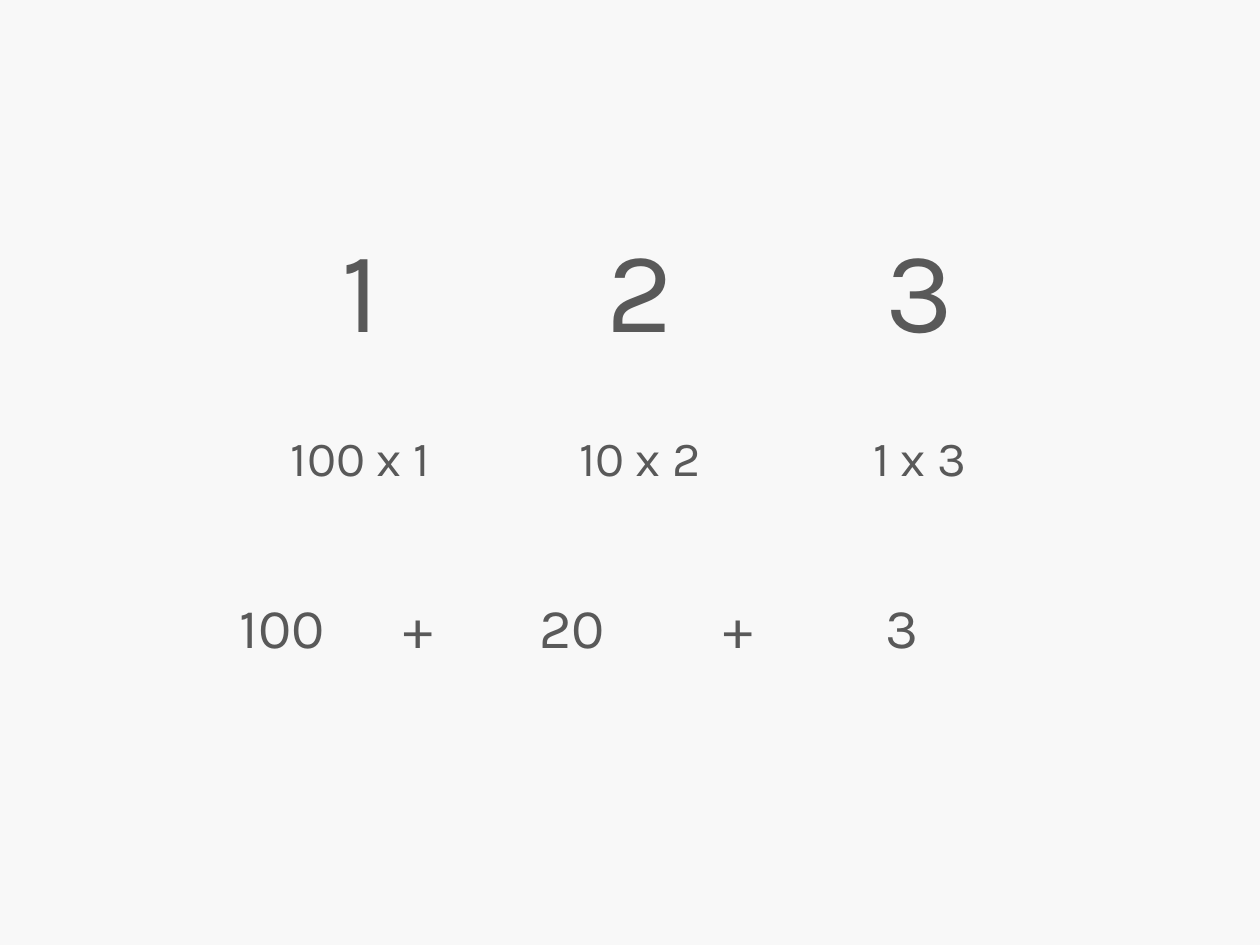
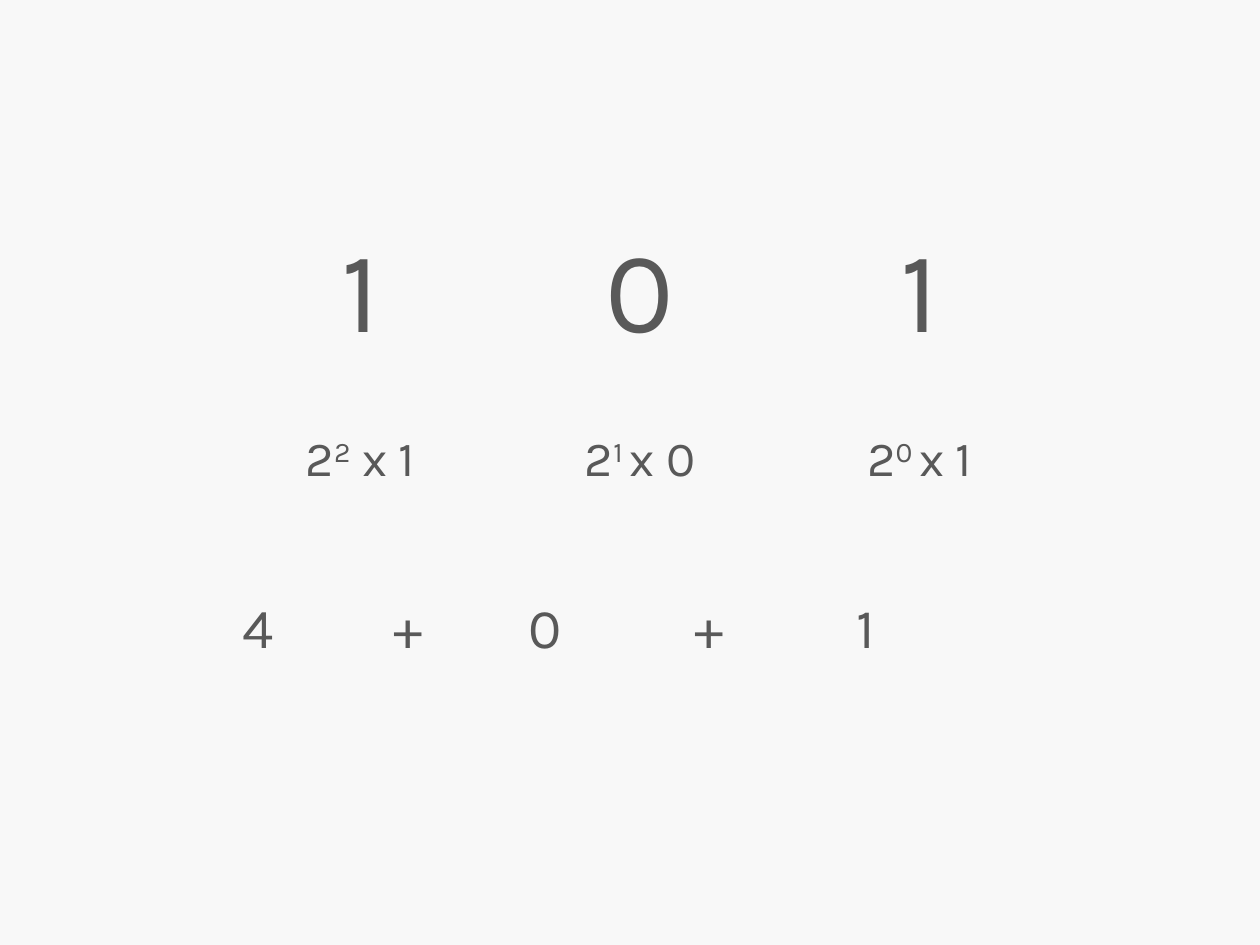
import pptx
import pptx.dml.color
import pptx.enum.text
import pptx.oxml.ns
import pptx.util
from lxml import etree

Inches = pptx.util.Inches
BACKGROUND = pptx.dml.color.RGBColor(0xF8, 0xF8, 0xF8)
TEXT_GREY = pptx.dml.color.RGBColor(0x59, 0x59, 0x59)
FONT = "Karla"
NO_STYLE_NO_GRID = "{2D5ABB26-0587-4C30-8999-92F81FD0307C}"
DIGIT_SIZE, PRODUCT_SIZE, SUM_SIZE = 66, 28, 32

TABLE_LEFT = TABLE_TOP = 1.75
COLUMN_WIDTH = 2.22
ROW_HEIGHTS = (1.17, 1.01, 1.75)
SUM_TOP_MARGIN = 0.81

# Each product lists its runs; the second run is an exponent.
# The sum stops are the centres of its five parts, in inches from the cell text edge.
NUMBERS = [
    {
        "digits": ("1", "2", "3"),
        "products": (("100 x 1",), ("10 x 2",), ("1 x 3",)),
        "sum": ("100", "+", "20", "+", "3"),
        "stops": (0.39, 1.47, 2.69, 4.01, 5.31),
    },
    {
        "digits": ("1", "0", "1"),
        "products": (("2", "2", " x 1"), ("2", "1 ", "x 0"), ("2", "0 ", "x 1")),
        "sum": ("4", "+", "0", "+", "1"),
        "stops": (0.2, 1.39, 2.48, 3.78, 5.02),
    },
]


def write_cell(cell, parts, size):
    """Fill a cell with centred runs, raising the second one as an exponent."""
    para = cell.text_frame.paragraphs[0]
    para.alignment = pptx.enum.text.PP_ALIGN.CENTER
    for index, part in enumerate(parts):
        span = para.add_run()
        span.text = part
        span.font.name = FONT
        span.font.size = pptx.util.Pt(size)
        span.font.color.rgb = TEXT_GREY
        if index == 1:
            span.font._element.set("baseline", "30000")
    return para


def add_centre_tabs(para, stops):
    tab_list = etree.SubElement(para._p.get_or_add_pPr(), pptx.oxml.ns.qn("a:tabLst"))
    for stop in stops:
        etree.SubElement(tab_list, pptx.oxml.ns.qn("a:tab"), pos=str(Inches(stop)), algn="ctr")


deck = pptx.Presentation()
deck.slide_width, deck.slide_height = Inches(10), Inches(7.5)
blank_layout = deck.slide_layouts[6]

for number in NUMBERS:
    page = deck.slides.add_slide(blank_layout)
    page.background.fill.solid()
    page.background.fill.fore_color.rgb = BACKGROUND

    frame = page.shapes.add_table(
        3, 3, Inches(TABLE_LEFT), Inches(TABLE_TOP),
        Inches(3 * COLUMN_WIDTH), Inches(sum(ROW_HEIGHTS)))
    table = frame.table
    table.first_row = table.horz_banding = False
    table._tbl.tblPr.find(pptx.oxml.ns.qn("a:tableStyleId")).text = NO_STYLE_NO_GRID
    for column in table.columns:
        column.width = Inches(COLUMN_WIDTH)
    for row, height in zip(table.rows, ROW_HEIGHTS):
        row.height = Inches(height)
    for cell in table.iter_cells():
        cell.fill.background()

    for column, (digit, product) in enumerate(zip(number["digits"], number["products"])):
        write_cell(table.cell(0, column), (digit,), DIGIT_SIZE)
        product_cell = table.cell(1, column)
        product_cell.vertical_anchor = pptx.enum.text.MSO_ANCHOR.BOTTOM
        write_cell(product_cell, product, PRODUCT_SIZE)

    sum_cell = table.cell(2, 0)
    sum_cell.merge(table.cell(2, 2))
    sum_cell.margin_top = Inches(SUM_TOP_MARGIN)
    sum_line = "".join("\t" + part for part in number["sum"])
    sum_para = write_cell(sum_cell, (sum_line,), SUM_SIZE)
    sum_para.alignment = pptx.enum.text.PP_ALIGN.LEFT
    add_centre_tabs(sum_para, number["stops"])

deck.save("out.pptx")
